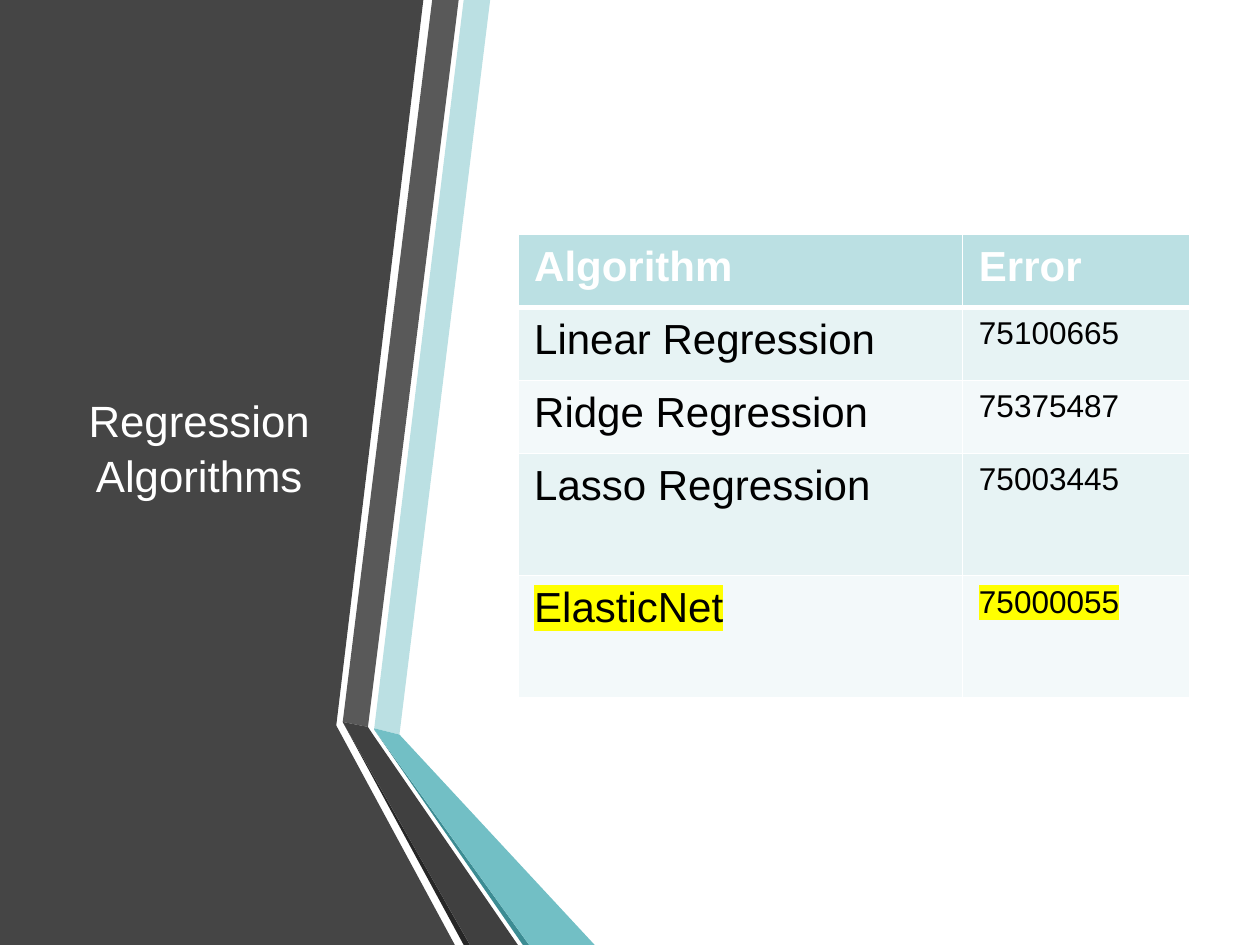
from lxml.etree import SubElement
from pptx import Presentation
from pptx.dml.color import RGBColor
from pptx.enum.text import MSO_ANCHOR, MSO_AUTO_SIZE, PP_ALIGN
from pptx.oxml import parse_xml
from pptx.oxml.ns import nsdecls, qn
from pptx.util import Pt

SCALE = 9144
FONT = "Arial"
COLORS = {
    "white": "FFFFFF", "black": "000000", "panel": "454545",
    "pale": "BBE0E3", "gray": "595959", "ink": "262626",
    "deep": "3C8C93", "teal": "72BFC5", "dark": "404040",
    "odd": "E7F3F4", "even": "F3F9FA", "mark": "FFFF00",
}

BANDS = [
    ("panel", [(0, 0), (336, 0), (267, 575), (267, 576), (361, 750), (0, 750)]),
    ("pale", [(297, 578), (317, 583), (389, 0), (368, 0)]),
    ("gray", [(364, 0), (343, 0), (272, 573), (292, 577)]),
    ("ink", [(272, 573), (368, 750), (373, 750)]),
    ("deep", [(297, 579), (415, 750), (420, 750)]),
    ("teal", [(297, 579), (420, 750), (472, 750), (317, 583), (297, 578)]),
    ("dark", [(411, 750), (296, 583), (292, 577), (272, 573), (373, 750)]),
]

ROWS = [
    ("Algorithm", "Error"),
    ("Linear Regression", "75100665"),
    ("Ridge Regression", "75375487"),
    ("Lasso Regression", "75003445"),
    ("ElasticNet", "75000055"),
]


def px(count):
    return count * SCALE


def tint(name):
    return RGBColor.from_string(COLORS[name])


class Deck:
    def __init__(self, wide, high):
        self.show = Presentation()
        self.show.slide_width = px(wide)
        self.show.slide_height = px(high)
        self.slide = self.show.slides.add_slide(self.show.slide_layouts[5])

    def style(self, frame, size, color, bold=False, mark=None):
        for part in frame.paragraphs:
            for run in part.runs:
                font = run.font
                font.size = Pt(size)
                font.bold = bold
                font.color.rgb = tint(color)
                if mark:
                    glow = parse_xml(
                        f'<a:highlight {nsdecls("a")}>'
                        f'<a:srgbClr val="{COLORS[mark]}"/></a:highlight>')
                    run._r.rPr.find(qn("a:solidFill")).addnext(glow)
                font.name = FONT

    def title(self, text, box, size):
        shape = self.slide.shapes.title
        shape.left, shape.top, shape.width, shape.height = map(px, box)
        frame = shape.text_frame
        frame.text = text
        frame.word_wrap = True
        frame.auto_size = MSO_AUTO_SIZE.NONE
        frame.vertical_anchor = MSO_ANCHOR.MIDDLE
        frame.paragraphs[0].alignment = PP_ALIGN.CENTER
        frame.paragraphs[0].line_spacing = 1.05
        self.style(frame, size, "white")

    def band(self, color, points):
        pen = self.slide.shapes.build_freeform(*points[0], scale=SCALE)
        pen.add_line_segments(points[1:], close=True)
        shape = pen.convert_to_shape()
        shape.shadow.inherit = False
        shape.fill.solid()
        shape.fill.fore_color.rgb = tint(color)
        shape.line.fill.background()

    def edges(self, cell, widths):
        props = cell._tc.get_or_add_tcPr()
        for side, width in zip("LRTB", widths):
            line = SubElement(props, qn(f"a:ln{side}"), w=str(Pt(width)))
            fill = SubElement(line, qn("a:solidFill"))
            SubElement(fill, qn("a:srgbClr"), val=COLORS["white"])

    def cell(self, cell, text, row, col, last):
        head = row == 0
        self.edges(cell, (1, 1, 3 if row == 1 else 1, 3 if head else 1))
        cell.fill.solid()
        cell.fill.fore_color.rgb = tint(
            "pale" if head else "odd" if row % 2 else "even")
        cell.margin_left = cell.margin_right = px(13)
        cell.margin_top = cell.margin_bottom = px(7)
        cell.text_frame.text = text
        self.style(cell.text_frame, 24 if head or col == 0 else 18,
                   "white" if head else "black", head,
                   "mark" if row == last else None)

    def table(self, rows, spot, wides, highs):
        table = self.slide.shapes.add_table(
            len(rows), len(wides), *map(px, spot),
            px(sum(wides)), px(sum(highs))).table
        for col, wide in enumerate(wides):
            table.columns[col].width = px(wide)
        for row, texts in enumerate(rows):
            table.rows[row].height = px(highs[row])
            for col, text in enumerate(texts):
                self.cell(table.cell(row, col), text, row, col, len(rows) - 1)

    def save(self):
        tree = self.slide.shapes._spTree
        tree.append(self.slide.shapes.title._element)
        self.show.save("out.pptx")


def main():
    deck = Deck(1000, 750)
    for color, points in BANDS:
        deck.band(color, points)
    deck.title("Regression Algorithms", (44, 75, 228, 558), 25)
    deck.table(ROWS, (411, 186), (353, 180), (58, 58, 58, 97, 97))
    deck.save()


if __name__ == "__main__":
    main()
